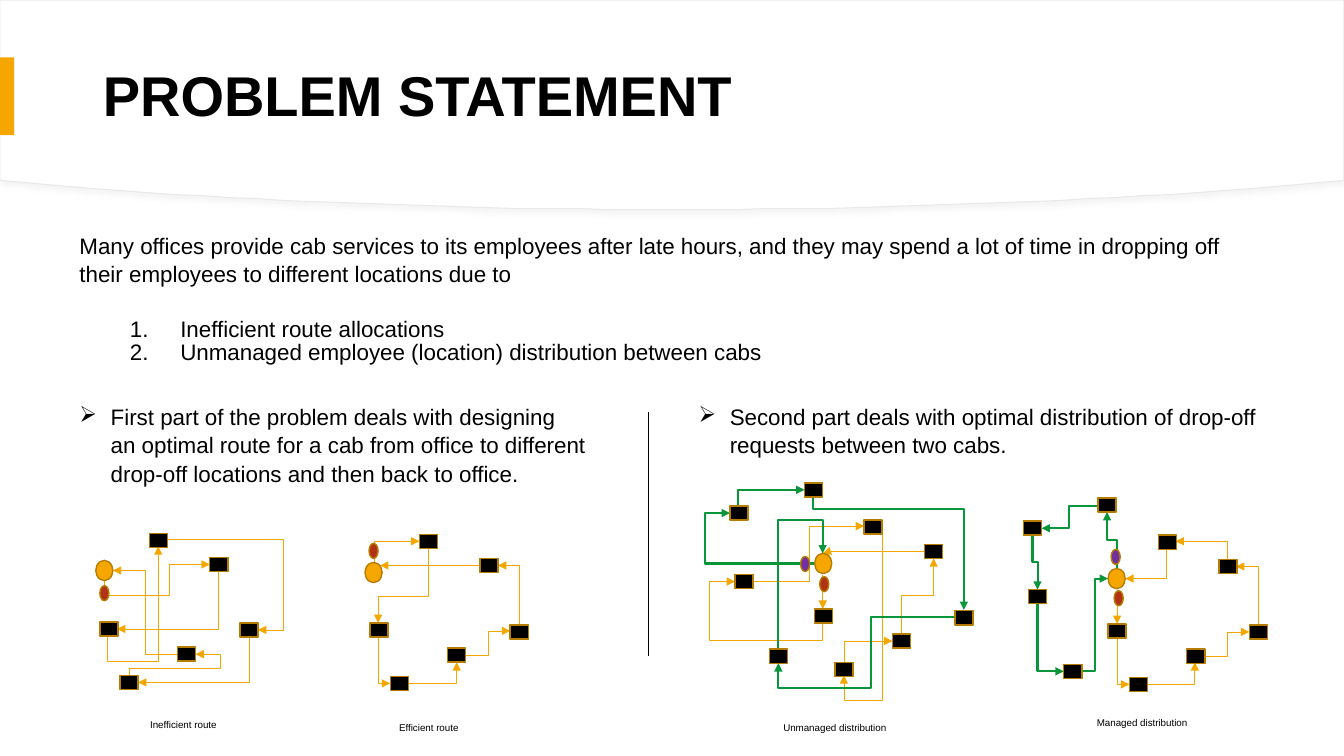
import pptx
import pptx.util
import pptx.dml.color
import pptx.enum.dml
import pptx.enum.shapes
import pptx.enum.text
import pptx.oxml
import pptx.oxml.ns

WIDE, HIGH = 1333, 750
CELL = pptx.util.Inches(0.01)
HUES = {"gold": "F5A700", "edge": "B57C00", "stop": "000000", "red": "B23214",
        "plum": "7030A0", "green": "09963B", "white": "FFFFFF", "curve": "E9E9E9",
        "shade": "D9D9D9"}
HUE = {name: pptx.dml.color.RGBColor.from_string(code) for name, code in HUES.items()}
KIND = pptx.enum.shapes.MSO_SHAPE
LINK = pptx.enum.shapes.MSO_CONNECTOR
NS = pptx.oxml.ns.nsdecls("a")
qn = pptx.oxml.ns.qn

deck = pptx.Presentation()
deck.slide_width, deck.slide_height = pptx.util.Inches(13.33), pptx.util.Inches(7.5)
slide = deck.slides.add_slide(deck.slide_layouts[5])
parts = slide.shapes


def write(box, size, rows, bold=False):
    frame = box.text_frame
    frame.word_wrap = True
    frame.text = "\n".join(row["text"] for row in rows)
    look = {"name": "Arial", "size": pptx.util.Pt(size), "bold": bold}
    for para, row in zip(frame.paragraphs, rows):
        for key, value in row.get("form", {}).items():
            setattr(para, key, value)
        for key, value in look.items():
            setattr(para.runs[0].font, key, value)
        para.runs[0].font.color.rgb = HUE["stop"]
        props = para._p.get_or_add_pPr()
        for key, value in row.get("dent", {}).items():
            props.set(key, str(value * CELL))
        if "mark" in row:
            props.append(pptx.oxml.parse_xml(row["mark"]))


def route(dots, hue, weight, head=True):
    (x, y), (endx, endy) = dots[0], dots[-1]
    dx, dy = endx - x, endy - y
    legs = len(dots) - 1
    if legs == 1:
        link = parts.add_connector(LINK.STRAIGHT, *[n * CELL for n in (x, y, endx, endy)])
    else:
        link = parts.add_connector(LINK.ELBOW, 0, 0, CELL, CELL)
        down = dots[1][0] == x
        same = dx * dy > 0
        if down:
            wide, high = abs(dy), abs(dx)
            turn, fliph, flipv = 270 if same else 90, (dy > 0) == same, dy < 0
            bends = [(dots[1][1] - y) / dy, (dots[2][0] - x) / dx]
        else:
            wide, high = abs(dx), abs(dy)
            turn, fliph, flipv = 180 if dx < 0 else 0, False, dx * dy < 0
            bends = [(dots[1][0] - x) / dx, (dots[2][1] - y) / dy]
        place = {"left": (x + endx - wide) / 2, "top": (y + endy - high) / 2,
                 "width": wide, "height": high}
        for key, value in place.items():
            setattr(link, key, int(value * CELL))
        frame = link._element.spPr.find(qn("a:xfrm"))
        for key, value in {"rot": turn * 60000, "flipH": int(fliph), "flipV": int(flipv)}.items():
            frame.set(key, str(value))
        shape = link._element.spPr.find(qn("a:prstGeom"))
        shape.set("prst", f"bentConnector{legs}")
        for i, bend in enumerate(bends[:legs - 2], 1):
            name = "adj" if legs < 3 else f"adj{i}"
            shape.find(qn("a:avLst")).append(pptx.oxml.parse_xml(
                f'<a:gd {NS} name="{name}" fmla="val {round(bend * 100000)}"/>'))
    link.line.color.rgb = HUE[hue]
    link.line.width = pptx.util.Pt(weight)
    if head:
        link.line._get_or_add_ln().append(pptx.oxml.parse_xml(f'<a:tailEnd {NS} type="triangle"/>'))
    link._element.spPr.append(pptx.oxml.parse_xml(f"<a:effectLst {NS}/>"))


right = []
for i in range(21):
    t = i / 20
    share = ((1 - t) ** 3, 3 * t * (1 - t) ** 2, 3 * t * t * (1 - t), t ** 3)
    right.append(tuple(sum(s * n for s, n in zip(share, ends))
                       for ends in ((1242, 1065, 871, 666.5), (187, 200, 208, 208))))
left = [(WIDE - x, y) for x, y in reversed(right[:-1])]
pen = parts.build_freeform(0, 0, scale=CELL)
pen.add_line_segments([(WIDE, 0), (WIDE, 179), *right, *left, (0, 179)])
curve = pen.convert_to_shape()
curve.fill.solid()
curve.fill.fore_color.rgb = HUE["white"]
curve.line.color.rgb = HUE["curve"]
curve.line.width = pptx.util.Pt(0.75)
curve._element.spPr.append(pptx.oxml.parse_xml(
    f'<a:effectLst {NS}><a:outerShdw blurRad="50800" dist="38100" dir="2700000">'
    f'<a:srgbClr val="{HUES["shade"]}"><a:alpha val="30000"/></a:srgbClr></a:outerShdw></a:effectLst>'))
parts._spTree.insert(2, curve._element)

title = parts.title
for key, value in {"left": 92, "top": 28, "width": 1150, "height": 139}.items():
    setattr(title, key, value * CELL)
title.text_frame.vertical_anchor = pptx.enum.text.MSO_ANCHOR.MIDDLE
write(title, 40, [{"text": "PROBLEM STATEMENT", "form": {
    "alignment": pptx.enum.text.PP_ALIGN.LEFT, "line_spacing": 0.9}}], True)

step = f'<a:buAutoNum {NS} type="arabicPeriod"/>'
arrow = f'<a:buChar {NS} char="➢"/>'
loose = {"line_spacing": 1.05}
deep, hang, flush = ({"marL": 100, "indent": -50}, {"marL": 31, "indent": -31},
                     {"marL": 31, "indent": 0})
texts = [
    ((69, 224, 1196, 124), 16, [
        {"text": "Many offices provide cab services to its employees after late hours, and they may spend a lot of time in dropping off their employees to different locations due to", "form": loose},
        {"text": "Inefficient route allocations", "dent": deep, "mark": step,
         "form": {"line_spacing": 0.6, "space_before": pptx.util.Pt(27)}},
        {"text": "Unmanaged employee (location) distribution between cabs", "dent": deep, "mark": step,
         "form": {"line_spacing": 0.6, "space_before": pptx.util.Pt(5)}}]),
    ((69, 394, 613, 100), 16, [
        {"text": "First part of the problem deals with designing", "dent": hang, "mark": arrow, "form": loose},
        {"text": "an optimal route for a cab from office to different", "dent": flush, "form": loose},
        {"text": "drop-off locations and then back to office.", "dent": flush, "form": loose}]),
    ((683, 394, 613, 75), 16, [
        {"text": "Second part deals with optimal distribution of drop-off requests between two cabs.",
         "dent": hang, "mark": arrow, "form": loose}]),
    ((139, 708, 215, 22), 7, [{"text": "Inefficient route"}]),
    ((386, 711, 215, 22), 7, [{"text": "Efficient route"}]),
    ((767, 711, 215, 22), 7, [{"text": "Unmanaged distribution"}]),
    ((1078, 706, 215, 22), 7, [{"text": "Managed distribution"}]),
]
for place, size, rows in texts:
    write(parts.add_textbox(*[n * CELL for n in place]), size, rows)

thin = [
    [(103, 556), (103, 591), (168, 591), (168, 560), (208, 560)],
    [(217, 566), (217, 624), (116, 624)],
    [(107, 631), (107, 656), (157, 656), (157, 542)],
    [(166, 535), (281, 535), (281, 625), (256, 625)],
    [(247, 632), (247, 677), (137, 677)],
    [(128, 670), (128, 663), (219, 663), (219, 649), (194, 649)],
    [(176, 649), (144, 649), (144, 566), (112, 566)],
    [(425, 543), (425, 592), (375, 592), (375, 618)],
    [(375, 632), (375, 678), (387, 678)],
    [(405, 678), (453, 678), (453, 657)],
    [(462, 650), (484, 650), (484, 626), (506, 626)],
    [(371, 558), (371, 537), (416, 537)],
    [(515, 620), (515, 561), (494, 561)],
    [(476, 561), (377, 561)],
    [(1108, 633), (1108, 679), (1120, 679)],
    [(1137, 679), (1185, 679), (1185, 657)],
    [(1194, 651), (1217, 651), (1217, 627), (1239, 627)],
    [(1248, 620), (1248, 562), (1226, 562)],
    [(1108, 585), (1108, 619)],
    [(1217, 555), (1217, 537), (1166, 537)],
    [(1157, 544), (1157, 574), (1116, 574)],
    [(816, 618), (816, 635), (704, 635), (704, 577), (729, 577)],
    [(748, 577), (803, 577), (803, 522), (857, 522)],
    [(816, 570), (816, 604)],
    [(875, 522), (875, 695), (837, 695), (837, 670)],
    [(894, 629), (894, 591), (926, 591), (926, 554)],
    [(837, 657), (837, 636), (885, 636)],
    [(917, 547), (816, 547), (816, 549)],
]
thick = [
    [(1108, 564), (1108, 536), (1098, 536), (1098, 508)],
    [(1024, 531), (1024, 558), (1029, 558), (1029, 585)],
    [(1088, 502), (1060, 502), (1060, 524), (1033, 524)],
    [(1029, 599), (1029, 666), (1055, 666)],
    [(1072, 666), (1086, 666), (1086, 574), (1099, 574)],
    [(808, 559), (699, 559), (699, 509), (724, 509)],
    [(732, 502), (732, 486), (798, 486)],
    [(806, 493), (806, 505), (956, 505), (956, 605)],
    [(947, 612), (864, 612), (864, 683), (772, 683), (772, 658)],
    [(772, 644), (772, 516), (816, 516), (816, 549)],
]
for hue, weight, routes in (("gold", 0.5, thin), ("green", 1.5, thick)):
    for dots in routes:
        route(dots, hue, weight)
route([(643, 409), (643, 651)], "stop", 0.5, False)

stops = [(119, 670), (238, 618), (176, 642), (99, 617), (148, 529), (208, 553),
         (387, 671), (506, 620), (444, 643), (367, 618), (416, 530), (476, 554),
         (1120, 672), (1239, 620), (1177, 644), (1099, 619), (1149, 531), (1209, 555),
         (1020, 585), (1015, 517), (1089, 494), (1055, 659),
         (828, 657), (947, 606), (885, 629), (808, 604), (857, 516), (917, 540),
         (729, 570), (724, 502), (798, 479), (763, 644)]
marks = [
    (KIND.RECTANGLE, "gold", None, (14, 77), [(0, 57)]),
    (KIND.OVAL, "gold", "edge", (17, 20), [(95, 556), (362, 558), (1099, 564), (808, 549)]),
    (KIND.RECTANGLE, "stop", "edge", (18, 14), stops),
    (KIND.OVAL, "red", "edge", (9, 15), [(99, 581), (366, 539), (1105, 586), (813, 572)]),
    (KIND.OVAL, "plum", "edge", (9, 15), [(1102, 545), (794, 552)]),
]
for kind, hue, edge, size, spots in marks:
    for spot in spots:
        mark = parts.add_shape(kind, *[n * CELL for n in spot + size])
        mark.shadow.inherit = False
        mark.fill.solid()
        mark.fill.fore_color.rgb = HUE[hue]
        if edge:
            mark.line.color.rgb = HUE[edge]
            mark.line.width = pptx.util.Pt(1)
        else:
            mark.line.fill.background()

deck.save("out.pptx")
